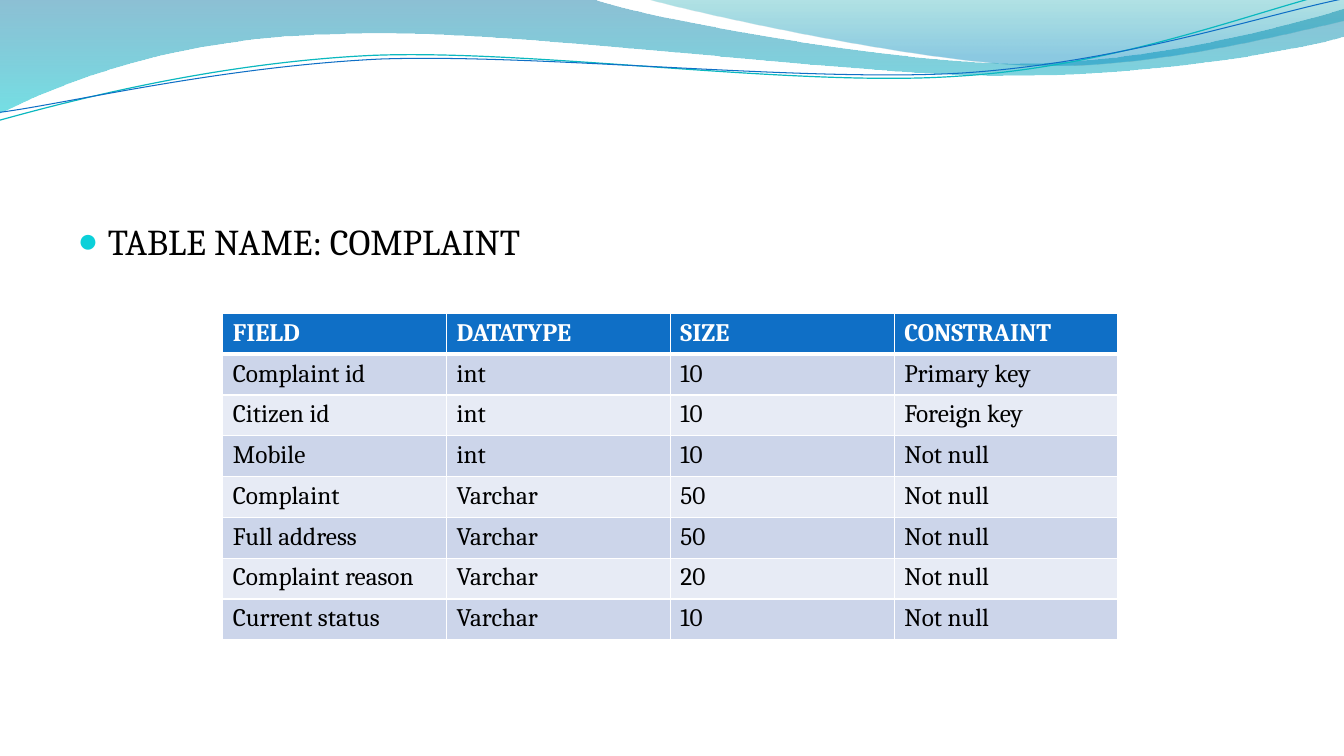
from lxml import etree
from pptx import Presentation
from pptx.dml.color import RGBColor
from pptx.enum.text import MSO_ANCHOR
from pptx.oxml.ns import qn
from pptx.util import Emu, Pt

TOP = MSO_ANCHOR.TOP
EMU_PER_PX = 9144  # 100 px to the inch
FONT = "Cambria"
STRAND_ROTATION = 357.3
COLORS = {
    "white": "FFFFFF", "black": "000000", "blue": "0F6FC6",
    "teal": "0AB8BF", "bullet": "0BD0D9",
    "band_dark": "CCD5EA", "band_light": "E7EBF5",
    "wave_top": "0074A1", "wave_bottom": "00C6CF",
    "crest_top": "00A1A9", "crest_bottom": "008BBF",
}

# Outlines: a two-number step is a straight line, a six-number step a curve
WAVE = [(0, 0), (587, -1), (634, 17, 885, 63, 1011, 63),
        (1138, 63, 1278, 26, 1333, 9), (1335, 36),
        (1311, 44, 1160, 76, 994, 75), (829, 75, 509, 28, 343, 34),
        (172, 36, 61, 83, -1, 113), (0, 0)]
CREST = [(639, -1), (679, 11, 909, 62, 1025, 65),
         (1141, 69, 1282, 32, 1333, 21), (1333, 0), (639, -1)]
TEAL_STRAND = [(-3, 88), (63, 73, 211, 41, 369, 41),
               (528, 42, 789, 93, 949, 89), (1109, 87, 1254, 36, 1333, 22)]
BLUE_STRAND = [(-2, 80), (62, 75, 218, 45, 378, 45),
               (537, 47, 795, 88, 954, 86), (1114, 83, 1256, 42, 1336, 30)]

ROWS = [
    ("FIELD", "DATATYPE", "SIZE", "CONSTRAINT"),
    ("Complaint id", "int", "10", "Primary key"),
    ("Citizen id", "int", "10", "Foreign key"),
    ("Mobile", "int", "10", "Not null"),
    ("Complaint", "Varchar", "50", "Not null"),
    ("Full address", "Varchar", "50", "Not null"),
    ("Complaint reason", "Varchar", "20", "Not null"),
    ("Current status", "Varchar", "10", "Not null"),
]


def px(length):
    return Emu(length * EMU_PER_PX)


def rgb(name):
    return RGBColor.from_string(COLORS[name])


def add_element(parent, tag, **attributes):
    return etree.SubElement(parent, qn(tag), attributes)


def style_font(font, size, color, bold=False):
    font.name = FONT
    font.size = Pt(size)
    font.bold = bold
    font.color.rgb = rgb(color)


def bend_curves(shape, steps):
    """Join the three line segments of each six-number step into one curve."""
    segments = iter(list(shape._element.iter(qn("a:lnTo"))))
    for step in steps[1:]:
        first = next(segments)
        if len(step) == 6:
            curve = etree.Element(qn("a:cubicBezTo"))
            first.addprevious(curve)
            for segment in (first, next(segments), next(segments)):
                curve.append(segment[0])
                segment.getparent().remove(segment)


def add_outline(slide, steps, close):
    points = [(px(step[i]), px(step[i + 1]))
              for step in steps for i in range(0, len(step), 2)]
    builder = slide.shapes.build_freeform(*points[0])
    builder.add_line_segments(points[1:], close=close)
    shape = builder.convert_to_shape()
    bend_curves(shape, steps)
    shape.shadow.inherit = False
    return shape


def add_gradient_wave(slide, steps, stops):
    shape = add_outline(slide, steps, close=True)
    shape.line.fill.background()
    shape.fill.gradient()
    shape.fill.gradient_angle = 270
    for gradient_stop, (position, color, _) in zip(shape.fill.gradient_stops, stops):
        gradient_stop.position = position
        gradient_stop.color.rgb = rgb(color)
    color_elements = shape._element.iter(qn("a:srgbClr"))
    for element, (_, _, opacity) in zip(list(color_elements), stops):
        add_element(element, "a:alpha", val=str(opacity * 1000))


def add_strand(slide, steps, color, width):
    shape = add_outline(slide, steps, close=False)
    shape.rotation = STRAND_ROTATION
    shape.fill.background()
    shape.line.color.rgb = rgb(color)
    shape.line.width = Pt(width)


def fill_body(body, text):
    body.left, body.top, body.width, body.height = px(67), px(212), px(1200), px(480)
    body.text_frame.vertical_anchor = TOP
    para = body.text_frame.paragraphs[0]
    para.text = text
    properties = para._p.get_or_add_pPr()
    properties.set("marL", str(px(30)))
    properties.set("indent", str(px(-30)))
    bullet_color = add_element(properties, "a:buClr")
    add_element(bullet_color, "a:srgbClr", val=COLORS["bullet"])
    add_element(properties, "a:buSzPct", val="95000")
    add_element(properties, "a:buChar", char="●")
    para.space_before = Pt(0)
    style_font(para.font, 26, "black")


def add_cell_borders(cell, top_width, bottom_width):
    properties = cell._tc.get_or_add_tcPr()
    widths = (("a:lnL", 1), ("a:lnR", 1), ("a:lnT", top_width), ("a:lnB", bottom_width))
    for tag, width in widths:
        line = add_element(properties, tag, w=str(Pt(width)))
        fill = add_element(line, "a:solidFill")
        add_element(fill, "a:srgbClr", val=COLORS["white"])


def add_field_table(slide, left, top, width, height):
    frame = slide.shapes.add_table(len(ROWS), len(ROWS[0]), px(left), px(top),
                                   px(width), px(height))
    for row_index, row in enumerate(ROWS):
        header = row_index == 0
        band = "band_dark" if row_index % 2 else "band_light"
        for column_index, text in enumerate(row):
            cell = frame.table.cell(row_index, column_index)
            add_cell_borders(cell, 3 if row_index == 1 else 1, 3 if header else 1)
            cell.fill.solid()
            cell.fill.fore_color.rgb = rgb("blue" if header else band)
            para = cell.text_frame.paragraphs[0]
            para.text = text
            style_font(para.font, 18, "white" if header else "black", header)


def main():
    deck = Presentation()
    deck.slide_width, deck.slide_height = px(1333), px(750)
    slide = deck.slides.add_slide(deck.slide_layouts[1])
    title, body = slide.placeholders
    title._element.getparent().remove(title._element)

    # Waves across the top
    add_gradient_wave(slide, WAVE, [(0, "wave_top", 45), (1, "wave_bottom", 55)])
    add_gradient_wave(slide, CREST, [(0, "crest_top", 30), (0.8, "crest_bottom", 45)])
    add_strand(slide, TEAL_STRAND, "teal", 0.85)
    add_strand(slide, BLUE_STRAND, "blue", 0.75)

    # Table name and its fields
    fill_body(body, "TABLE NAME: COMPLAINT")
    add_field_table(slide, 221, 311, 888, 324)

    deck.save("out.pptx")


if __name__ == "__main__":
    main()
